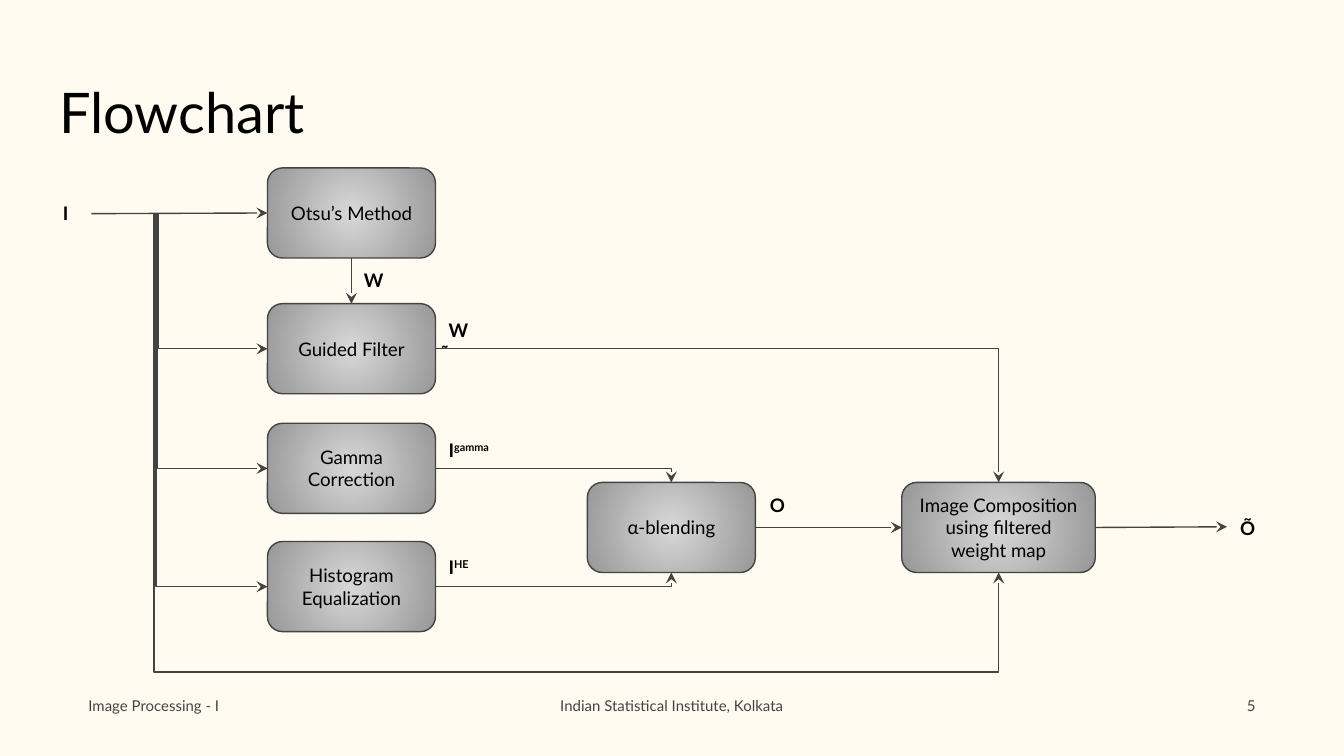
from dataclasses import dataclass
from typing import NamedTuple

from lxml.etree import SubElement
from pptx import Presentation
from pptx.dml.color import RGBColor
from pptx.enum.shapes import MSO_CONNECTOR, MSO_SHAPE
from pptx.enum.text import MSO_ANCHOR, MSO_AUTO_SIZE, PP_ALIGN
from pptx.oxml.ns import qn
from pptx.util import Inches, Pt

TOP, LEFT, BOTTOM, RIGHT = range(4)


@dataclass(frozen=True)
class Theme:
    font: str = "Lato"
    paper: RGBColor = RGBColor(0xFF, 0xFB, 0xF0)
    ink: RGBColor = RGBColor(0, 0, 0)
    gray: RGBColor = RGBColor(0x43, 0x43, 0x43)
    light: RGBColor = RGBColor(0xD8, 0xD8, 0xD8)
    dark: RGBColor = RGBColor(0x97, 0x97, 0x97)
    title: float = 30
    body: float = 10
    foot: float = 8
    line: float = 0.75


class Box(NamedTuple):
    text: str
    x: float
    y: float
    w: float = 1.25
    h: float = 0.67

    def side(self, site: int) -> tuple:
        mid, half = self.x + self.w / 2, self.y + self.h / 2
        return ((mid, self.y), (self.x, half),
                (mid, self.y + self.h), (self.x + self.w, half))[site]


class Port(NamedTuple):
    """A link end: a side of a named box, or a free point."""
    box: str = ""
    site: int = 0
    point: tuple = (0, 0)


class Link(NamedTuple):
    start: Port
    end: Port
    bend: str = ""
    adjust: tuple = ()
    upright: bool = False


class Label(NamedTuple):
    text: str
    x: float
    y: float
    w: float = 0.3
    h: float = 0.34
    power: str = ""


class Note(NamedTuple):
    text: str
    x: float
    align: PP_ALIGN


THEME = Theme()
ENTRY = 1.59
STEP_X = 1.99

BOXES = {
    "otsu": Box("Otsu’s Method", STEP_X, 1.25),
    "filter": Box("Guided Filter", STEP_X, 2.26),
    "gamma": Box("Gamma Correction", STEP_X, 3.15),
    "equal": Box("Histogram Equalization", STEP_X, 4.03),
    "blend": Box("α-blending", 4.37, 3.59),
    "merge": Box("Image Composition using filtered weight map", 6.71, 3.59, 1.44),
}

BRANCHES = {"filter": 1.18, "gamma": 1.17, "equal": 1.16}

LINKS = [
    Link(Port(point=(0.68, ENTRY)), Port("otsu", LEFT)),
    *(Link(Port(point=(x, ENTRY)), Port(name, LEFT), "bentConnector2", upright=True)
      for name, x in BRANCHES.items()),
    Link(Port("otsu", BOTTOM), Port("filter", TOP)),
    Link(Port("filter", RIGHT), Port("merge", TOP), "bentConnector2"),
    Link(Port("gamma", RIGHT), Port("blend", TOP), "bentConnector2"),
    Link(Port("equal", RIGHT), Port("blend", BOTTOM), "bentConnector2"),
    Link(Port(point=(1.14, ENTRY)), Port("merge", BOTTOM), "bentConnector4", (100, 127700)),
    Link(Port("blend", RIGHT), Port("merge", LEFT)),
    Link(Port("merge", RIGHT), Port(point=(9.13, 3.92))),
]

LABELS = [
    Label("I", 0.37, 1.42),
    Label("W", 2.61, 1.92),
    Label("W̃", 3.24, 2.27),
    Label("I", 3.24, 3.18, 0.57, 0.31, "gamma"),
    Label("I", 3.24, 4.05, 0.57, 0.31, "HE"),
    Label("O", 5.63, 3.59),
    Label("Õ", 9.13, 3.76),
]

NOTES = [
    Note("Image Processing - I", 0.56, PP_ALIGN.LEFT),
    Note("Indian Statistical Institute, Kolkata", 2.78, PP_ALIGN.CENTER),
    Note("5", 5, PP_ALIGN.RIGHT),
]


def style(shape, size: float, color: RGBColor, align=PP_ALIGN.LEFT,
          anchor=MSO_ANCHOR.TOP, bold: bool = False) -> None:
    frame = shape.text_frame
    frame.word_wrap = True
    frame.vertical_anchor = anchor
    frame.margin_left = frame.margin_right = Inches(0.1)
    frame.margin_top = frame.margin_bottom = Inches(0.1)
    for para in frame.paragraphs:
        para.alignment = align
        for run in para.runs:
            run.font.name = THEME.font
            run.font.size = Pt(size)
            run.font.bold = bold
            run.font.color.rgb = color


def place(shape, x: float, y: float, w: float, h: float) -> None:
    shape.left, shape.top = Inches(x), Inches(y)
    shape.width, shape.height = Inches(w), Inches(h)


def shade(shape) -> None:
    """Fill a shape with a gradient that runs out from its centre."""
    shape.fill.gradient()
    for stop, color, spot in zip(shape.fill.gradient_stops, (THEME.light, THEME.dark), (0, 1)):
        stop.color.rgb = color
        stop.position = spot
    grad = shape._element.spPr.find(qn("a:gradFill"))
    grad.remove(grad.find(qn("a:lin")))
    ring = SubElement(grad, qn("a:path"), path="circle")
    SubElement(ring, qn("a:fillToRect"), l="50000", t="50000", r="50000", b="50000")


def draw_box(slide, box: Box):
    shape = slide.shapes.add_shape(MSO_SHAPE.ROUNDED_RECTANGLE, *map(Inches, box[1:]))
    shape.shadow.inherit = False
    shade(shape)
    shape.line.color.rgb = THEME.gray
    shape.line.width = Pt(THEME.line)
    shape.text_frame.text = box.text
    style(shape, THEME.body, THEME.ink, PP_ALIGN.CENTER, MSO_ANCHOR.MIDDLE)
    return shape


def turn(wire, start: tuple, end: tuple) -> None:
    """Make an elbow that goes down and right leave its start vertically."""
    (x1, y1), (x2, y2) = start, end
    w, h = y2 - y1, x2 - x1
    place(wire, (x1 + x2 - w) / 2, (y1 + y2 - h) / 2, w, h)
    frame = wire._element.spPr.find(qn("a:xfrm"))
    frame.set("rot", "16200000")
    frame.set("flipH", "1")


def locate(port: Port) -> tuple:
    return BOXES[port.box].side(port.site) if port.box else port.point


def draw_link(slide, link: Link, shapes: dict) -> None:
    start, end = locate(link.start), locate(link.end)
    kind = MSO_CONNECTOR.ELBOW if link.bend else MSO_CONNECTOR.STRAIGHT
    wire = slide.shapes.add_connector(kind, *map(Inches, start + end))
    if link.start.box:
        wire.begin_connect(shapes[link.start.box], link.start.site)
    if link.end.box:
        wire.end_connect(shapes[link.end.box], link.end.site)
    if link.upright:
        turn(wire, start, end)
    props = wire._element.spPr
    if link.bend:
        geom = props.find(qn("a:prstGeom"))
        geom.set("prst", link.bend)
        for i, value in enumerate(link.adjust, 1):
            SubElement(geom.find(qn("a:avLst")), qn("a:gd"), name=f"adj{i}", fmla=f"val {value}")
    wire.line.color.rgb = THEME.gray
    wire.line.width = Pt(THEME.line)
    SubElement(props.find(qn("a:ln")), qn("a:tailEnd"), type="stealth", w="med", len="med")
    SubElement(props, qn("a:effectLst"))


def add_text(slide, text: str, *spot: float):
    box = slide.shapes.add_textbox(*map(Inches, spot))
    box.text_frame.text = text
    box.text_frame.auto_size = MSO_AUTO_SIZE.SHAPE_TO_FIT_TEXT
    return box


def draw_label(slide, label: Label) -> None:
    box = add_text(slide, *label[:5])
    if label.power:
        run = box.text_frame.paragraphs[0].add_run()
        run.text = label.power
        run.font._element.set("baseline", "30000")
    style(box, THEME.body, THEME.ink, bold=True)


def draw_note(slide, note: Note) -> None:
    box = add_text(slide, note.text, note.x, 5.12, 4.44, 0.26)
    style(box, THEME.foot, THEME.gray, note.align)


def main() -> None:
    deck = Presentation()
    deck.slide_width = Inches(10)
    deck.slide_height = deck.slide_width * 9 // 16
    slide = deck.slides.add_slide(deck.slide_layouts[5])
    slide.background.fill.solid()
    slide.background.fill.fore_color.rgb = THEME.paper
    title = slide.shapes.title
    place(title, 0.34, 0.49, 9.32, 0.67)
    title.text_frame.text = "Flowchart"
    style(title, THEME.title, THEME.ink, anchor=MSO_ANCHOR.MIDDLE)
    for note in NOTES:
        draw_note(slide, note)
    shapes = {name: draw_box(slide, box) for name, box in BOXES.items()}
    for link in LINKS:
        draw_link(slide, link, shapes)
    for label in LABELS:
        draw_label(slide, label)
    deck.save("out.pptx")


if __name__ == "__main__":
    main()
